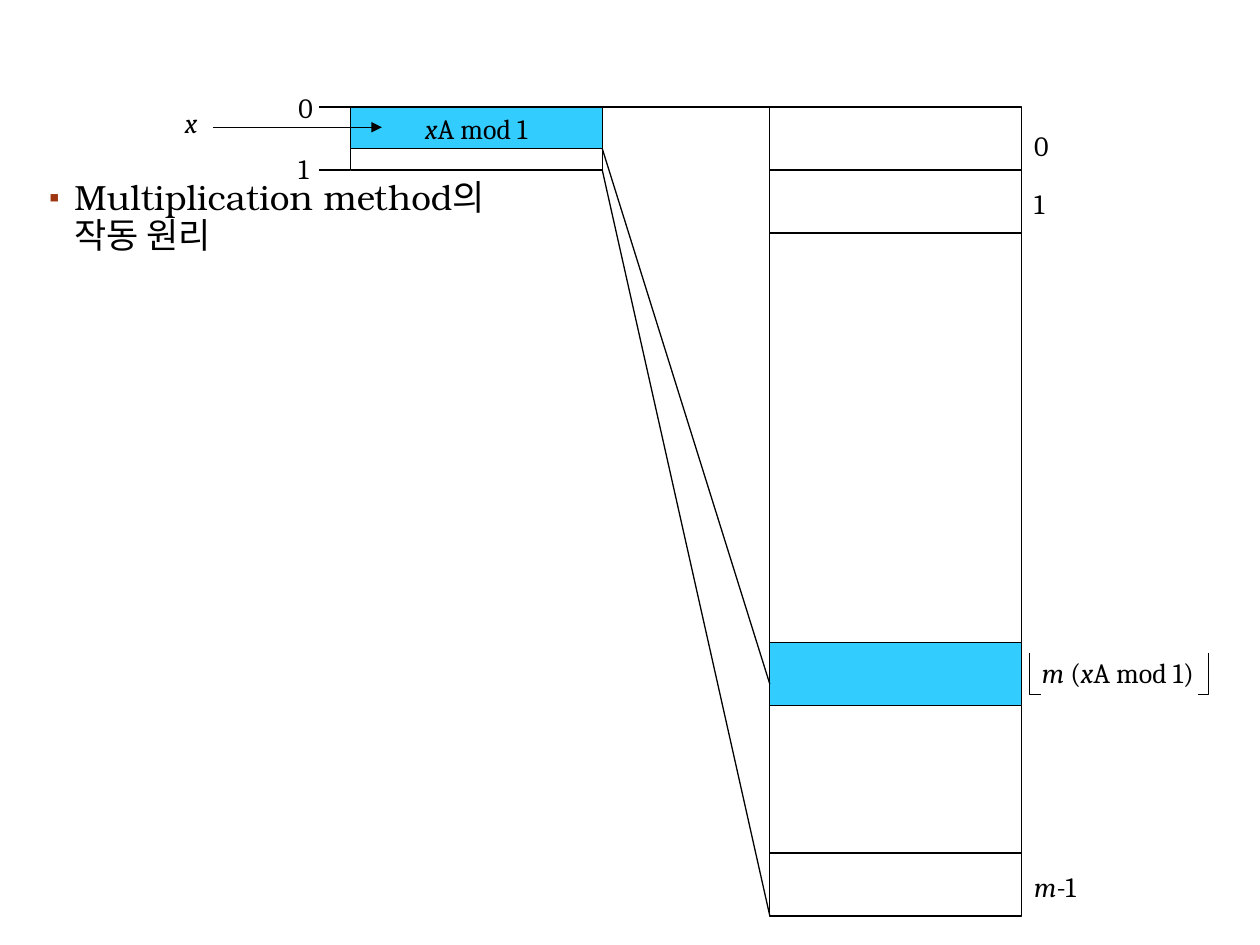
from pptx import Presentation
from pptx.util import Inches, Pt
from pptx.dml.color import RGBColor
from pptx.enum.shapes import MSO_SHAPE as Shape, MSO_CONNECTOR as Conn
from pptx.enum.text import MSO_ANCHOR as Anchor, PP_ALIGN as Align, MSO_AUTO_SIZE as Auto
from pptx.oxml.ns import qn
from lxml.etree import SubElement as Sub

BLACK, BLUE, RUST = "000000", "33CCFF", "9E3611"
KEY, KEYR, TAB, TABR, TOP, END = 2.78, 4.78, 6.11, 8.11, 0.85, 7.27
WIDE, ROW = 2, 0.5
HEAD = "Multiplication method의 \v작동 원리"

boxes = [
    (TAB, TOP, END - TOP, None, ""),
    (KEY, TOP, ROW, None, ""),
    (KEY, TOP, 0.33, BLUE, "*x*A mod 1"),
    (TAB, 5.1, ROW, BLUE, ""),
]
rules = [(TAB, y, TABR, y) for y in (TOP + ROW, TOP + 2 * ROW, END - ROW)]
ticks = [(KEY - 0.25, y, KEY, y) for y in (TOP, TOP + ROW)]
links = [
    (KEYR, TOP, TAB, TOP),
    (KEYR, 1.18, TAB, 5.43),
    (KEYR, TOP + ROW, TAB, END),
]
arrow = (1.69, 1.01, 3.03, 1.01)
labels = [
    (2.27, 0.67, 0.31, "0"),
    (2.27, 1.15, 0.31, "1"),
    (TABR, 0.97, 0.31, "0"),
    (TABR, 1.43, 0.31, "1"),
    (TABR, 6.85, 0.55, "*m*-1"),
    (1.37, 0.79, 0.3, "*x*"),
    (8.17, 5.15, 1.44, "*m *(*x*A mod 1)"),
]
floors = [(8.17, 8.26), (9.59, 9.51)]

deck = Presentation()
deck.slide_width, deck.slide_height = Inches(10), Inches(7.5)
slide = deck.slides.add_slide(deck.slide_layouts[1])
title = slide.shapes.title.element
title.getparent().remove(title)


def color(code):
    return RGBColor.from_string(code)


def ink(line):
    line.color.rgb = color(BLACK)
    line.width = Pt(0.75)


def style(run, size, face):
    run.font.size, run.font.name = Pt(size), face
    run.font.color.rgb = color(BLACK)


def write(frame, text):
    frame.word_wrap = False
    for i, part in enumerate(text.split("*")):
        if part:
            run = frame.paragraphs[0].add_run()
            run.text = part
            style(run, 16, "Cambria")
            run.font.italic = i % 2 == 1


def draw(x, y, x2, y2):
    line = slide.shapes.add_connector(Conn.STRAIGHT, *map(Inches, (x, y, x2, y2)))
    ink(line.line)
    Sub(line.element.spPr, qn("a:effectLst"))
    return line


for x, y, high, fill, text in boxes:
    box = slide.shapes.add_shape(Shape.RECTANGLE, *map(Inches, (x, y, WIDE, high)))
    box.shadow.inherit = False
    ink(box.line)
    if fill:
        box.fill.solid()
        box.fill.fore_color.rgb = color(fill)
    else:
        box.fill.background()
    if text:
        write(box.text_frame, text)
        box.text_frame.vertical_anchor = Anchor.MIDDLE
        box.text_frame.paragraphs[0].alignment = Align.CENTER

for ends in rules + ticks + links:
    draw(*ends)
Sub(draw(*arrow).line._get_or_add_ln(), qn("a:tailEnd"), type="triangle")

for x, y, wide, text in labels:
    label = slide.shapes.add_textbox(*map(Inches, (x, y, wide, 0.37)))
    write(label.text_frame, text)
    label.text_frame.auto_size = Auto.SHAPE_TO_FIT_TEXT

for x, foot in floors:
    pen = slide.shapes.build_freeform(Inches(x), Inches(5.18))
    pen.add_line_segments([(Inches(x), Inches(5.51)), (Inches(foot), Inches(5.51))], close=False)
    floor = pen.convert_to_shape()
    floor.shadow.inherit = False
    floor.fill.background()
    ink(floor.line)

body = slide.placeholders[1]
body.left, body.top, body.width, body.height = map(Inches, (0.29, 1.38, 9.43, 5.37))
para = body.text_frame.paragraphs[0]
para.text = HEAD
para.line_spacing, para.space_before = 0.9, Pt(12)
for run in para.runs:
    style(run, 20, "TeX Gyre Bonum")
props = para._p.get_or_add_pPr()
props.set("marL", str(Inches(0.2)))
props.set("indent", str(-Inches(0.2)))
Sub(Sub(props, qn("a:buClr")), qn("a:srgbClr"), val=RUST)
Sub(props, qn("a:buSzPct"), val="85000")
Sub(props, qn("a:buChar"), char="▪")
slide.shapes._spTree.append(body.element)

deck.save("out.pptx")
